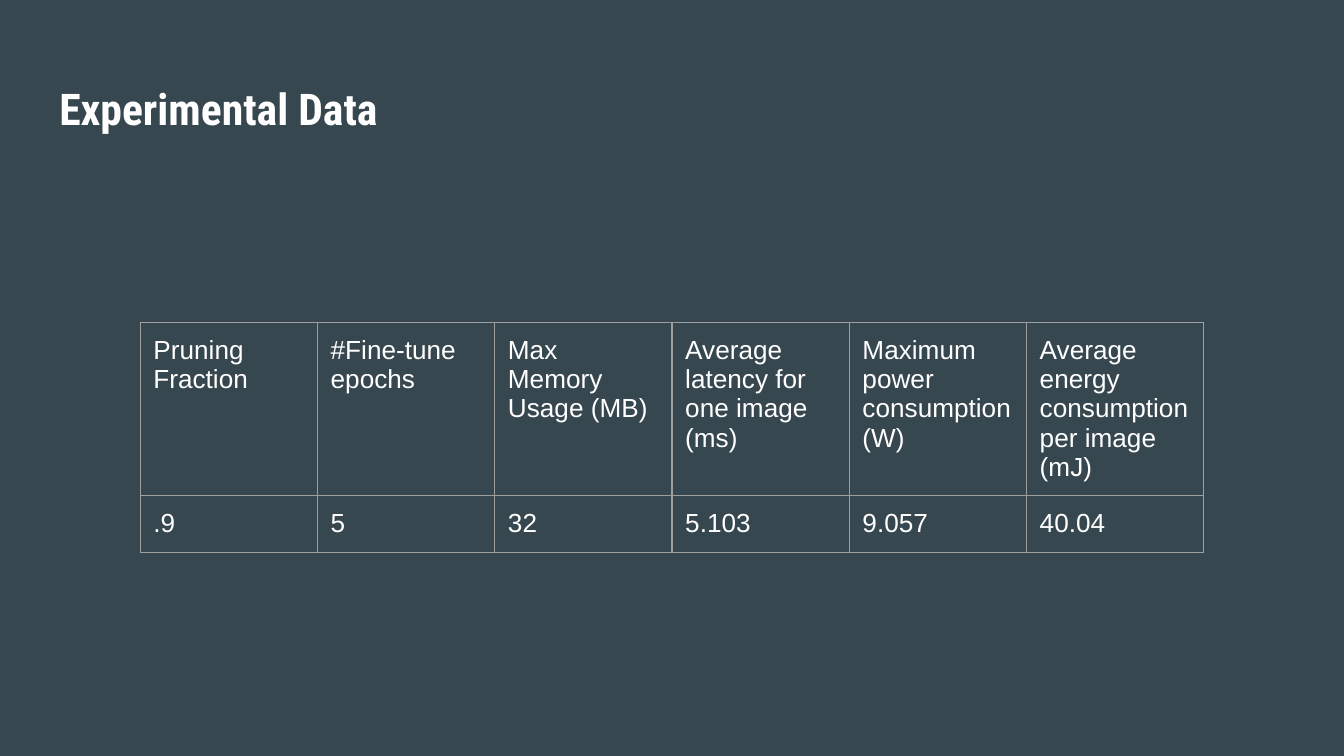
from lxml.etree import SubElement
from pptx import Presentation
from pptx.dml.color import RGBColor
from pptx.enum.text import MSO_ANCHOR as Anchor, PP_ALIGN as Align
from pptx.oxml.ns import qn
from pptx.util import Cm, Pt

HEADERS = [
    ["Pruning Fraction"],
    ["#Fine-tune epochs"],
    ["Max Memory Usage (MB)"],
    ["Average latency for one image (ms)"],
    ["Maximum power consumption", "(W)"],
    ["Average energy consumption per image (mJ)"],
]
VALUES = [[".9"], ["5"], ["32"], ["5.103"], ["9.057"], ["40.04"]]


def color(value):
    return RGBColor.from_string(value)


class SlideBuilder:
    background = "37474F"
    text_color = "FFFFFF"
    border_color = "9E9E9E"
    border_width = Pt(0.75)
    inset = Cm(0.25)
    title_font = {"name": "Roboto Condensed", "size": Pt(23.4), "bold": True}
    table_font = {"name": "Arial", "size": Pt(14), "bold": False}

    def __init__(self, presentation):
        self.slide = presentation.slides.add_slide(presentation.slide_layouts[5])
        fill = self.slide.background.fill
        fill.solid()
        fill.fore_color.rgb = color(self.background)

    def fill_text(self, text_frame, lines, font):
        text_frame.text = "\n".join(lines)
        for paragraph in text_frame.paragraphs:
            paragraph.alignment = Align.LEFT
            for run in paragraph.runs:
                for name, value in font.items():
                    setattr(run.font, name, value)
                run.font.color.rgb = color(self.text_color)

    def set_margins(self, target):
        for side in ("left", "top", "right", "bottom"):
            setattr(target, f"margin_{side}", self.inset)

    def title(self, text, left, top, width, height):
        shape = self.slide.shapes.title
        box = {"left": left, "top": top, "width": width, "height": height}
        for name, value in box.items():
            setattr(shape, name, Cm(value))
        frame = shape.text_frame
        self.set_margins(frame)
        frame.word_wrap = True
        frame.vertical_anchor = Anchor.MIDDLE
        self.fill_text(frame, [text], self.title_font)

    def border(self, cell):
        properties = cell._tc.get_or_add_tcPr()
        for position, edge in enumerate(("lnL", "lnR", "lnT", "lnB")):
            line = SubElement(properties, qn(f"a:{edge}"), w=str(self.border_width))
            fill = SubElement(line, qn("a:solidFill"))
            SubElement(fill, qn("a:srgbClr"), val=self.border_color)
            # Borders come before the cell fill
            properties.insert(position, line)

    def table(self, rows, left, top, column_width, row_height):
        row_count, column_count = len(rows), len(rows[0])
        table = self.slide.shapes.add_table(
            row_count, column_count, Cm(left), Cm(top),
            Cm(column_width * column_count), Cm(row_height * row_count),
        ).table
        table.first_row = table.horz_banding = False
        for column in table.columns:
            column.width = Cm(column_width)
        for row, contents in zip(table.rows, rows):
            row.height = Cm(row_height)
            for cell, lines in zip(row.cells, contents):
                cell.fill.background()
                self.set_margins(cell)
                self.fill_text(cell.text_frame, lines, self.table_font)
                self.border(cell)


def main():
    presentation = Presentation()
    presentation.slide_width = Cm(25.4)
    presentation.slide_height = Cm(14.29)
    builder = SlideBuilder(presentation)

    # Heading
    builder.title("Experimental Data", 0.87, 1.24, 23.67, 1.6)

    # Measurements; the header row grows to fit its text
    builder.table([HEADERS, VALUES], 2.65, 6.09, 3.35, 1.07)

    presentation.save("out.pptx")


if __name__ == "__main__":
    main()
